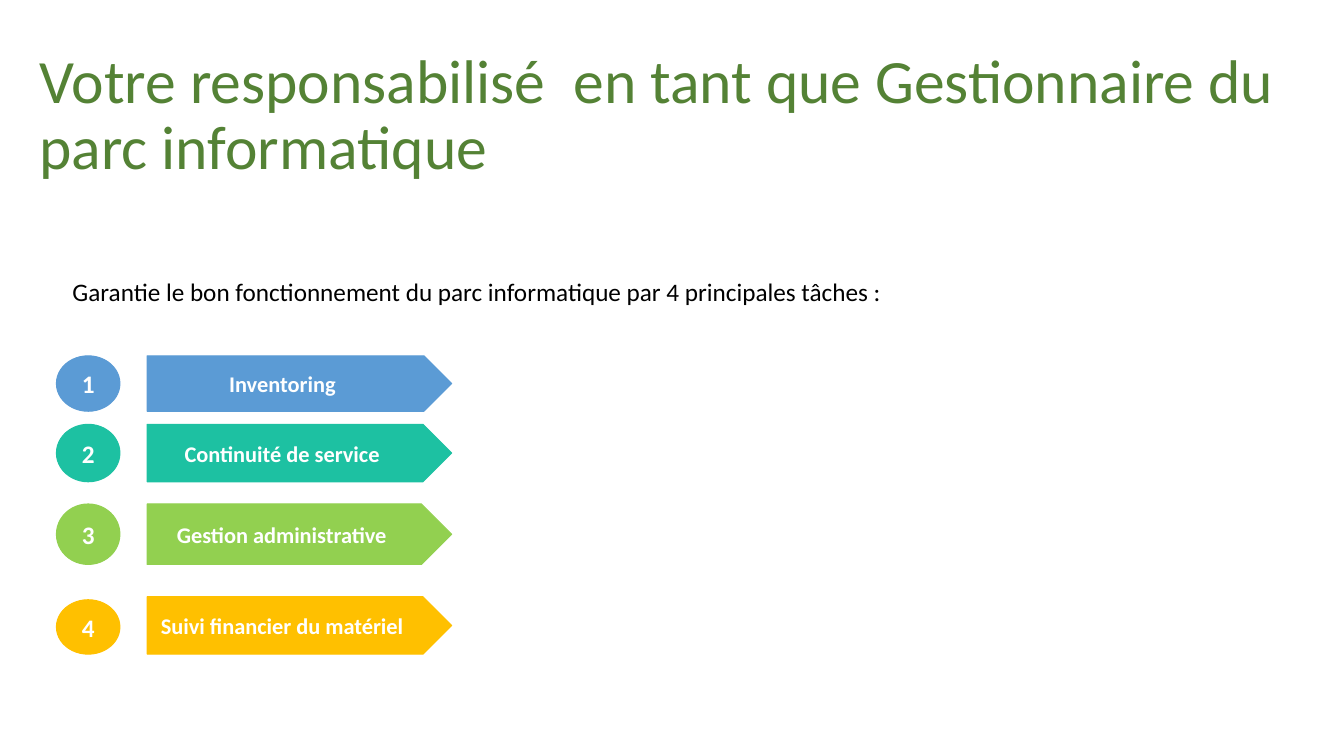
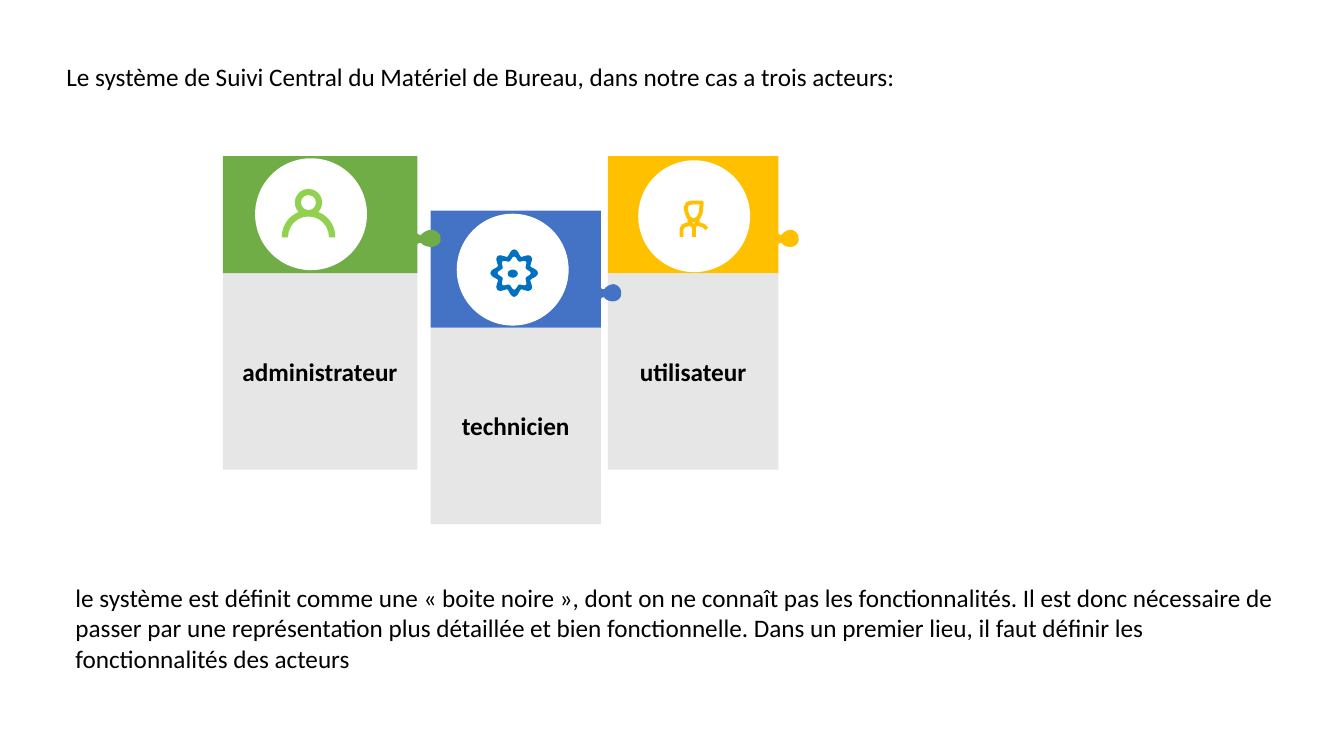
from math import cos, pi, sin

from lxml.etree import SubElement
from pptx import Presentation
from pptx.dml.color import RGBColor
from pptx.enum.shapes import MSO_SHAPE
from pptx.enum.text import MSO_ANCHOR, PP_ALIGN
from pptx.oxml.ns import qn
from pptx.util import Inches, Pt

THEME = {
    "font": "Calibri",
    "title": 44, "body": 18, "label": 16,
    "green": "548235", "black": "000000", "white": "FFFFFF", "grey": "E7E6E6",
    "lime": "92D050", "blue": "0070C0", "gold": "FFC000",
}

TITLE = "Votre responsabilisé  en tant que Gestionnaire du parc informatique"
INTRO = "Garantie le bon fonctionnement du parc informatique par 4 principales tâches :"
# label, colour, top, height, drop of the dot
TASKS = [
    ("Inventoring", "5B9BD5", 3.53, 0.55, 0),
    ("Continuité de service", "1DC1A2", 4.21, 0.57, 0),
    ("Gestion administrative", THEME["lime"], 5, 0.6, 0),
    ("Suivi financier du matériel", THEME["gold"], 5.92, 0.57, 0.03),
]

LEAD = "Le système de Suivi Central du Matériel de Bureau, dans notre cas a trois acteurs:"
CLOSE = (
    "le système est définit comme une « boite noire », dont on ne connaît pas les "
    "fonctionnalités. Il est donc nécessaire de passer par une représentation plus "
    "détaillée et bien fonctionnelle. Dans un premier lieu, il faut définir les "
    "fonctionnalités des acteurs"
)
# label, colour, left, top, width; the later card lies in front
CARDS = [
    ("utilisateur", THEME["gold"], 6.03, 1.55, 1.69),
    ("technicien", "4472C4", 4.27, 2.09, 1.69),
    ("administrateur", "70AD47", 2.21, 1.55, 1.93),
]
HEAD, BODY, SIDE = 1.16, 1.95, 1.69
DISC = 1.11
DISCS = [(2.53, 1.57), (4.53, 2.12), (6.33, 1.59)]

# Bezier triples of the puzzle tab, measured from the right edge and card top
TAB = [
    [(0, 0.87), (0.01, 0.86), (0.02, 0.86)],
    [(0.03, 0.86), (0.04, 0.86), (0.04, 0.87)],
    [(0.06, 0.89), (0.09, 0.9), (0.12, 0.9)],
    [(0.17, 0.9), (0.21, 0.86), (0.2, 0.81)],
    [(0.2, 0.77), (0.17, 0.74), (0.13, 0.73)],
    [(0.09, 0.73), (0.06, 0.75), (0.04, 0.77)],
    [(0.04, 0.78), (0.03, 0.78), (0.02, 0.78)],
    [(0.01, 0.78), (0, 0.77), (0, 0.76)],
]
# Strokes of the user icon, measured from its top left corner
USER = [
    [(0.21, 0.01), (0.11, 0.01), (0.07, 0.02), (0.05, 0.06), (0.06, 0.11),
     (0.08, 0.16), (0.13, 0.19), (0.18, 0.16), (0.2, 0.11), (0.21, 0.01)],
    [(0.01, 0.35), (0.01, 0.27), (0.03, 0.24), (0.09, 0.22), (0.09, 0.18)],
    [(0.09, 0.21), (0.13, 0.25), (0.17, 0.21)],
    [(0.13, 0.25), (0.13, 0.35)],
    [(0.17, 0.18), (0.17, 0.22), (0.23, 0.24), (0.26, 0.27)],
]


def rgb(name):
    return RGBColor.from_string(name)


def paint(item, fill=None, line=None, width=0.75):
    item.shadow.inherit = False
    if fill:
        item.fill.solid()
        item.fill.fore_color.rgb = rgb(fill)
    else:
        item.fill.background()
    if line:
        item.line.color.rgb = rgb(line)
        item.line.width = Pt(width)
    else:
        item.line.fill.background()
    return item


def write(item, text, size, color, bold=False, align=PP_ALIGN.LEFT, **frame):
    tf = item.text_frame
    for key, value in {"word_wrap": True, **frame}.items():
        setattr(tf, key, value)
    tf.text = text
    para = tf.paragraphs[0]
    para.alignment = align
    look = {"name": THEME["font"], "size": Pt(size), "bold": bold}
    for key, value in look.items():
        setattr(para.runs[0].font, key, value)
    para.runs[0].font.color.rgb = rgb(color)
    return para


def shape(slide, kind, box, **look):
    return paint(slide.shapes.add_shape(kind, *map(Inches, box)), **look)


def note(slide, text, box):
    item = slide.shapes.add_textbox(*map(Inches, box))
    write(item, text, THEME["body"], THEME["black"])


def trace(slide, lines, close=True, **look):
    """Draw one freeform from several point lists."""
    lines = [[(Inches(x), Inches(y)) for x, y in line] for line in lines]
    pen = slide.shapes.build_freeform(*lines[0][0])
    for num, line in enumerate(lines):
        if num:
            pen.move_to(*line[0])
        pen.add_line_segments(line[1:], close=close)
    return paint(pen.convert_to_shape(), **look)


def bend(start, ctrl, steps=6):
    """Give the points of a cubic Bezier curve after its start."""
    pts = [start, *ctrl]
    for step in range(1, steps + 1):
        t = step / steps
        mix = ((1 - t) ** 3, 3 * t * (1 - t) ** 2, 3 * t * t * (1 - t), t ** 3)
        yield tuple(sum(m * p[axis] for m, p in zip(mix, pts)) for axis in (0, 1))


def card(slide, label, color, left, top, width):
    body = shape(slide, MSO_SHAPE.RECTANGLE, (left, top + HEAD, width, BODY),
                 fill=THEME["grey"])
    write(body, label, THEME["body"], THEME["black"], True, PP_ALIGN.CENTER,
          vertical_anchor=MSO_ANCHOR.MIDDLE)
    tab = [(0, 0.88)]
    for ctrl in TAB:
        tab.extend(bend(tab[-1], ctrl))
    right, ratio = left + width, width / SIDE
    edge = [(left, top), (left, top + HEAD), (right, top + HEAD)]
    edge += [(right + x * ratio, top + y) for x, y in tab]
    trace(slide, [edge + [(right, top)]], fill=color)


def ring(x, y, base, wave, count=96):
    """Give a closed outline with eight lobes."""
    for num in range(count):
        turn = 2 * pi * num / count
        rad = base + wave * cos(8 * turn)
        yield x + rad * cos(turn), y + rad * sin(turn)


def icons(slide):
    lime, blue, gold = (THEME[key] for key in ("lime", "blue", "gold"))
    look = {"fill": lime, "line": lime}
    face = shape(slide, MSO_SHAPE.DONUT, (2.93, 1.88, 0.26, 0.26), **look)
    face.adjustments[0] = 0.19
    bust = shape(slide, MSO_SHAPE.BLOCK_ARC, (2.8, 2.09, 0.52, 0.52), **look)
    bust.adjustments[2] = 0.1

    look = {"fill": blue, "line": blue}
    mid = (5.1, 2.71)
    trace(slide, [list(ring(*mid, 0.2, 0.03)), list(ring(*mid, 0.15, 0.02))], **look)
    shape(slide, MSO_SHAPE.OVAL, (5.04, 2.68, 0.09, 0.07), **look)

    lines = [[(6.75 + x, 2 + y) for x, y in line] for line in USER]
    user = trace(slide, lines, close=False, line=gold, width=2.75)
    SubElement(user.element.spPr.find(qn("a:ln")), qn("a:round"))


def tasks(deck):
    slide = deck.slides.add_slide(deck.slide_layouts[5])
    title = slide.shapes.title
    spots = zip(("left", "top", "width", "height"), (0.29, 0.43, 12.89, 1.45))
    for key, value in spots:
        setattr(title, key, Inches(value))
    para = write(title, TITLE, THEME["title"], THEME["green"],
                 vertical_anchor=MSO_ANCHOR.MIDDLE)
    para.line_spacing = 0.9
    note(slide, INTRO, (0.62, 2.69, 12.08, 0.4))
    mid = {"bold": True, "align": PP_ALIGN.CENTER, "vertical_anchor": MSO_ANCHOR.MIDDLE}
    for num, (label, color, top, high, drop) in enumerate(TASKS, 1):
        dot = shape(slide, MSO_SHAPE.OVAL, (0.56, top + drop, 0.63, high - drop),
                    fill=color, line=color)
        write(dot, str(num), THEME["body"], THEME["white"], **mid,
              margin_left=0, margin_right=0, margin_top=0, margin_bottom=0)
        arrow = shape(slide, MSO_SHAPE.PENTAGON, (1.46, top, 3.02, high),
                      fill=color, line=color)
        write(arrow, label, THEME["label"], THEME["white"], **mid,
              margin_left=Inches(0.05), margin_right=Inches(0.25))


def actors(deck):
    slide = deck.slides.add_slide(deck.slide_layouts[6])
    note(slide, LEAD, (0.56, 0.56, 11, 0.4))
    for item in CARDS:
        card(slide, *item)
    for left, top in DISCS:
        shape(slide, MSO_SHAPE.OVAL, (left, top, DISC, DISC), fill=THEME["white"])
    icons(slide)
    note(slide, CLOSE, (0.65, 5.73, 12.2, 1.01))


def main():
    deck = Presentation()
    deck.slide_width, deck.slide_height = Inches(13.33), Inches(7.5)
    tasks(deck)
    actors(deck)
    deck.save("out.pptx")


if __name__ == "__main__":
    main()
